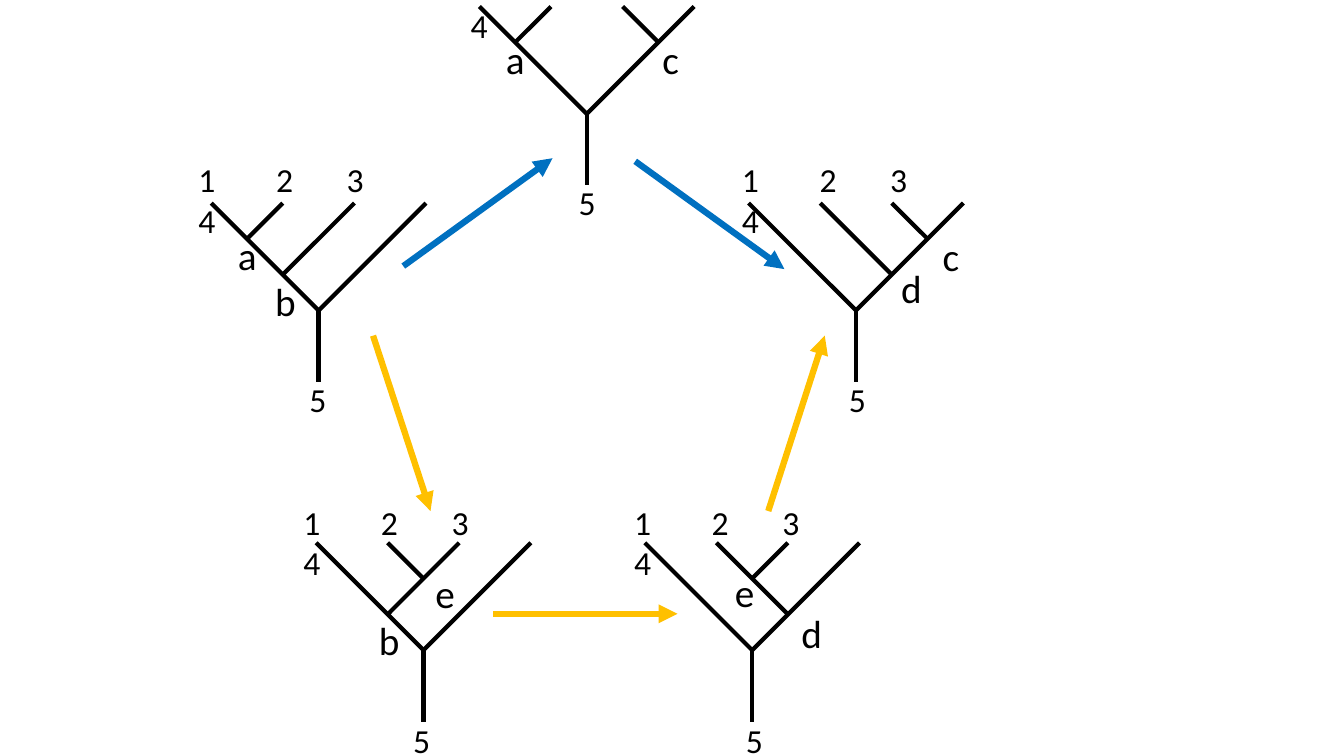
from dataclasses import dataclass

from lxml import etree
from pptx import Presentation
from pptx.dml.color import RGBColor
from pptx.enum.shapes import MSO_CONNECTOR
from pptx.enum.text import MSO_AUTO_SIZE
from pptx.oxml.ns import qn
from pptx.util import Inches, Pt

STRAIGHT = MSO_CONNECTOR.STRAIGHT
GROW = MSO_AUTO_SIZE.SHAPE_TO_FIT_TEXT

BLACK, BLUE, GOLD = "000000", "0070C0", "FFC000"
UNIT = 0.355
LEAF_TABS = (0.77, 1.47)
TRUNK = [((-3, 3), (0, 0)), ((0, 0), (3, 3)), ((0, 0), (0, -2))]
ALL_LEAVES = "1\t2\t3\n4"


def colour(code):
    return RGBColor.from_string(code)


@dataclass
class Tree:
    root: tuple
    twigs: list
    nodes: list
    leaves: tuple
    stem: tuple
    leaf_text: str = ALL_LEAVES


@dataclass
class TreeSlide:
    page: object
    font: str = "Calibri"

    def line(self, start, end, code=BLACK, width=3, arrow=False):
        points = [Inches(value) for value in (*start, *end)]
        connector = self.page.shapes.add_connector(STRAIGHT, *points)
        connector.line.color.rgb = colour(code)
        connector.line.width = Pt(width)
        if arrow:
            outline = connector.line._get_or_add_ln()
            etree.SubElement(outline, qn("a:tailEnd"), type="triangle")
        etree.SubElement(connector._element.spPr, qn("a:effectLst"))

    def text(self, words, place, width, height, size, tabs=()):
        box = self.page.shapes.add_textbox(
            *[Inches(value) for value in (*place, width, height)])
        frame = box.text_frame
        frame.word_wrap = True
        frame.auto_size = GROW
        frame.text = words
        for para in frame.paragraphs:
            if tabs:
                stops = etree.SubElement(
                    para._p.get_or_add_pPr(), qn("a:tabLst"))
                for stop in tabs:
                    etree.SubElement(stops, qn("a:tab"),
                                     pos=str(Inches(stop)), algn="l")
            for span in para.runs:
                span.font.name = self.font
                span.font.size = Pt(size)
                span.font.color.rgb = colour(BLACK)

    def tree(self, tree):
        x, y = tree.root
        for start, end in TRUNK + tree.twigs:
            self.line(*[(x + across * UNIT, y - up * UNIT)
                        for across, up in (start, end)])
        for letter, place in tree.nodes:
            self.text(letter, place, 0.29, 0.53, 28)
        height = 0.1 + 0.4 * len(tree.leaf_text.splitlines())
        self.text(tree.leaf_text, tree.leaves, 2.52, height, 24, LEAF_TABS)
        self.text("5", tree.stem, 0.84, 0.5, 24)


LEFT_LONG = ((-1, 1), (1, 3))
RIGHT_LONG = ((1, 1), (-1, 3))
LEFT_SHORT = ((-1, 3), (-2, 2))
RIGHT_SHORT = ((1, 3), (2, 2))

TREES = [
    Tree((3.16, 3.08), [LEFT_LONG, LEFT_SHORT],
         [("a", (2.26, 2.25)), ("b", (2.63, 2.7))],
         (1.87, 1.53), (2.97, 3.71)),
    Tree((8.49, 3.08), [RIGHT_LONG, RIGHT_SHORT],
         [("d", (8.84, 2.57)), ("c", (9.25, 2.26))],
         (7.26, 1.53), (8.32, 3.71)),
    Tree((4.2, 6.45), [LEFT_LONG, ((-1, 3), (0, 2))],
         [("e", (4.22, 5.6)), ("b", (3.66, 6.07))],
         (2.91, 4.93), (4, 7.09)),
    Tree((7.46, 6.45), [RIGHT_LONG, ((1, 3), (0, 2))],
         [("e", (7.19, 5.59)), ("d", (7.85, 6))],
         (6.19, 4.93), (7.3, 7.09)),
    Tree((5.82, 1.13), [LEFT_SHORT, RIGHT_SHORT],
         [("a", (4.92, 0.3)), ("c", (6.47, 0.3))],
         (4.57, 0), (5.64, 1.76), "4"),
]

MOVES = [
    ((4, 2.64), (5.48, 1.57), BLUE),
    ((6.3, 1.6), (7.78, 2.67), BLUE),
    ((3.7, 3.33), (4.27, 5.07), GOLD),
    ((4.89, 6.09), (6.72, 6.09), GOLD),
    ((7.62, 5.07), (8.18, 3.33), GOLD),
]


def main():
    deck = Presentation()
    deck.slide_width = Inches(13.33)
    deck.slide_height = Inches(7.5)
    slide = TreeSlide(deck.slides.add_slide(deck.slide_layouts[6]))
    for tree in TREES:
        slide.tree(tree)
    for start, end, code in MOVES:
        slide.line(start, end, code, 4.5, arrow=True)
    deck.save("out.pptx")


if __name__ == "__main__":
    main()
